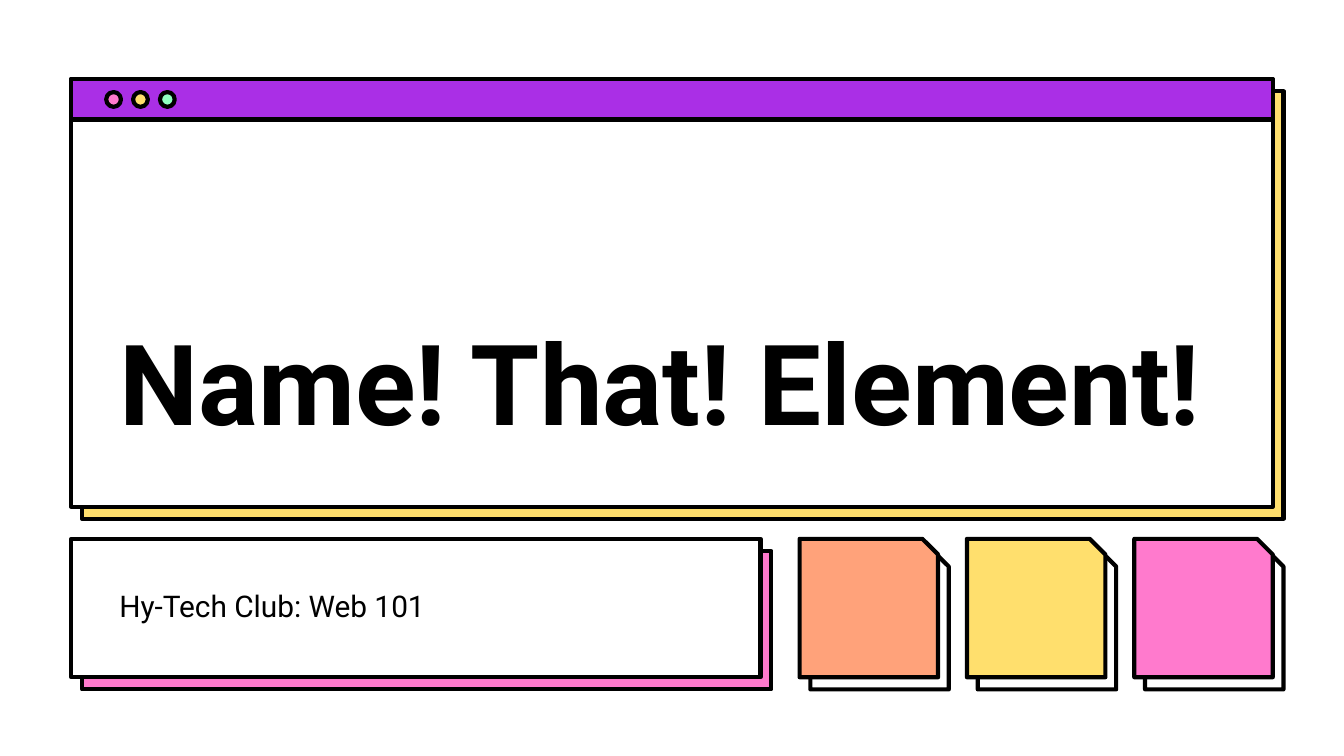
import pptx
import pptx.util
import pptx.dml.color
from dataclasses import dataclass
from pptx.enum.shapes import MSO_SHAPE
from pptx.enum.text import MSO_ANCHOR
from pptx.util import Inches


@dataclass(frozen=True)
class Theme:
    ink: str = "000000"
    paper: str = "FFFFFF"
    purple: str = "AA2FE6"
    yellow: str = "FFDF6D"
    pink: str = "FF7ACD"
    green: str = "8FFFC1"
    orange: str = "FFA27A"
    font: str = "Roboto"
    title: int = 60
    body: int = 16
    line: float = 2.25


THEME = Theme()
SHIFT = (0.08, 0.09)


def rgb(code):
    return pptx.dml.color.RGBColor.from_string(code)


def block(slide, kind, box, fill):
    shape = slide.shapes.add_shape(kind, *map(Inches, box))
    shape.shadow.inherit = False
    shape.fill.solid()
    shape.fill.fore_color.rgb = rgb(fill)
    shape.line.color.rgb = rgb(THEME.ink)
    shape.line.width = pptx.util.Pt(THEME.line)
    return shape


def layer(slide, kind, box, front, back):
    """Draw a block with its offset twin behind it."""
    left, top, wide, high = box
    twin = (left + SHIFT[0], top + SHIFT[1], wide, high)
    return [block(slide, kind, twin, back), block(slide, kind, box, front)]


def label(slide, box, text, size, bold=False, anchor=MSO_ANCHOR.TOP):
    frame = slide.shapes.add_textbox(*map(Inches, box)).text_frame
    frame.word_wrap = True
    frame.vertical_anchor = anchor
    frame.margin_left = frame.margin_right = Inches(0.1)
    frame.margin_top = frame.margin_bottom = Inches(0.1)
    frame.text = text
    font = frame.paragraphs[0].runs[0].font
    font.name, font.size, font.bold = THEME.font, pptx.util.Pt(size), bold
    font.color.rgb = rgb(THEME.ink)


def window(slide, box, title):
    left, top, wide, high = box
    bar, dot, step = 0.3, 0.11, 0.2
    layer(slide, MSO_SHAPE.RECTANGLE, box, THEME.paper, THEME.yellow)
    block(slide, MSO_SHAPE.RECTANGLE, (left, top, wide, bar), THEME.purple)
    for i, fill in enumerate((THEME.pink, THEME.yellow, THEME.green)):
        spot = (left + 0.26 + i * step, top + (bar - dot) / 2, dot, dot)
        block(slide, MSO_SHAPE.OVAL, spot, fill)
    label(slide, (left + 0.26, top + 0.65, wide - 0.51, high - 0.99),
          title, THEME.title, True, MSO_ANCHOR.BOTTOM)


def panel(slide, box, text):
    left, top, wide, high = box
    layer(slide, MSO_SHAPE.RECTANGLE, box, THEME.paper, THEME.pink)
    label(slide, (left + 0.26, top + 0.26, wide - 0.59, 0.49),
          text, THEME.body)


def cards(slide, box, fills):
    """Spread square cards with a snipped corner across the box."""
    left, top, wide, side = box
    step = (wide - side) / (len(fills) - 1)
    for i, fill in enumerate(fills):
        spot = (left + i * step, top, side, side)
        for card in layer(slide, MSO_SHAPE.SNIP_1_RECTANGLE, spot,
                          fill, THEME.paper):
            card.adjustments[0] = 0.113


def main():
    deck = pptx.Presentation()
    deck.slide_width = Inches(10)
    deck.slide_height = deck.slide_width * 9 // 16
    slide = deck.slides.add_slide(deck.slide_layouts[6])
    slide.background.fill.solid()
    slide.background.fill.fore_color.rgb = rgb(THEME.paper)
    window(slide, (0.53, 0.59, 8.94, 3.18), "Name! That! Element!")
    panel(slide, (0.53, 4.01, 5.13, 1.03), "Hy-Tech Club: Web 101")
    cards(slide, (5.95, 4.01, 3.52, 1.03),
          (THEME.orange, THEME.yellow, THEME.pink))
    deck.save("out.pptx")


if __name__ == "__main__":
    main()
